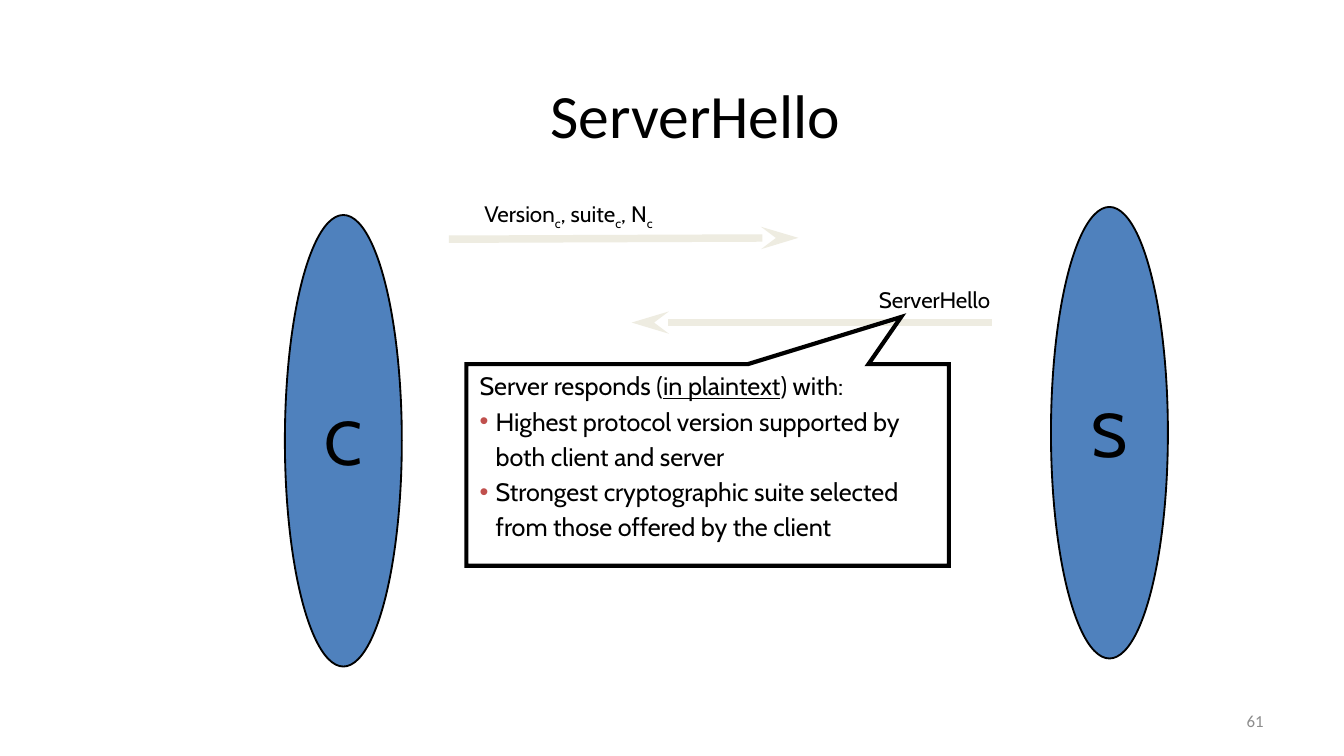
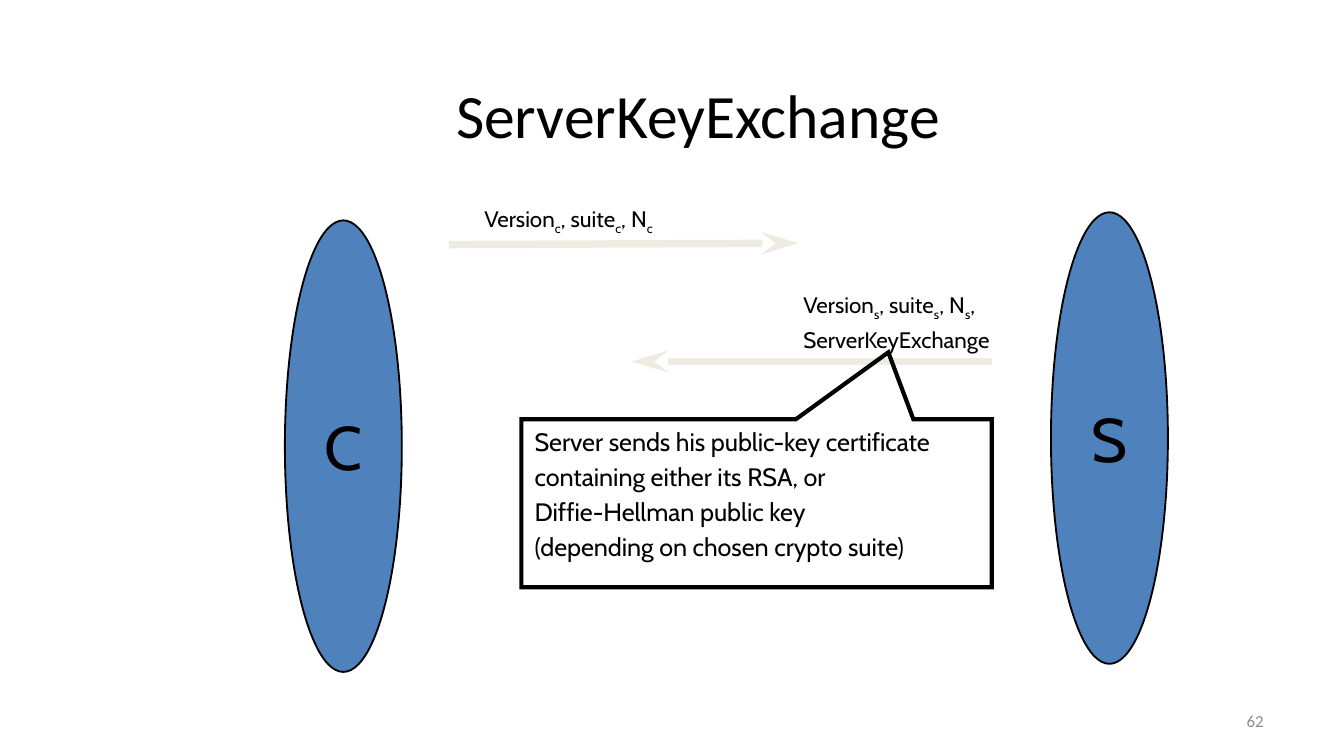
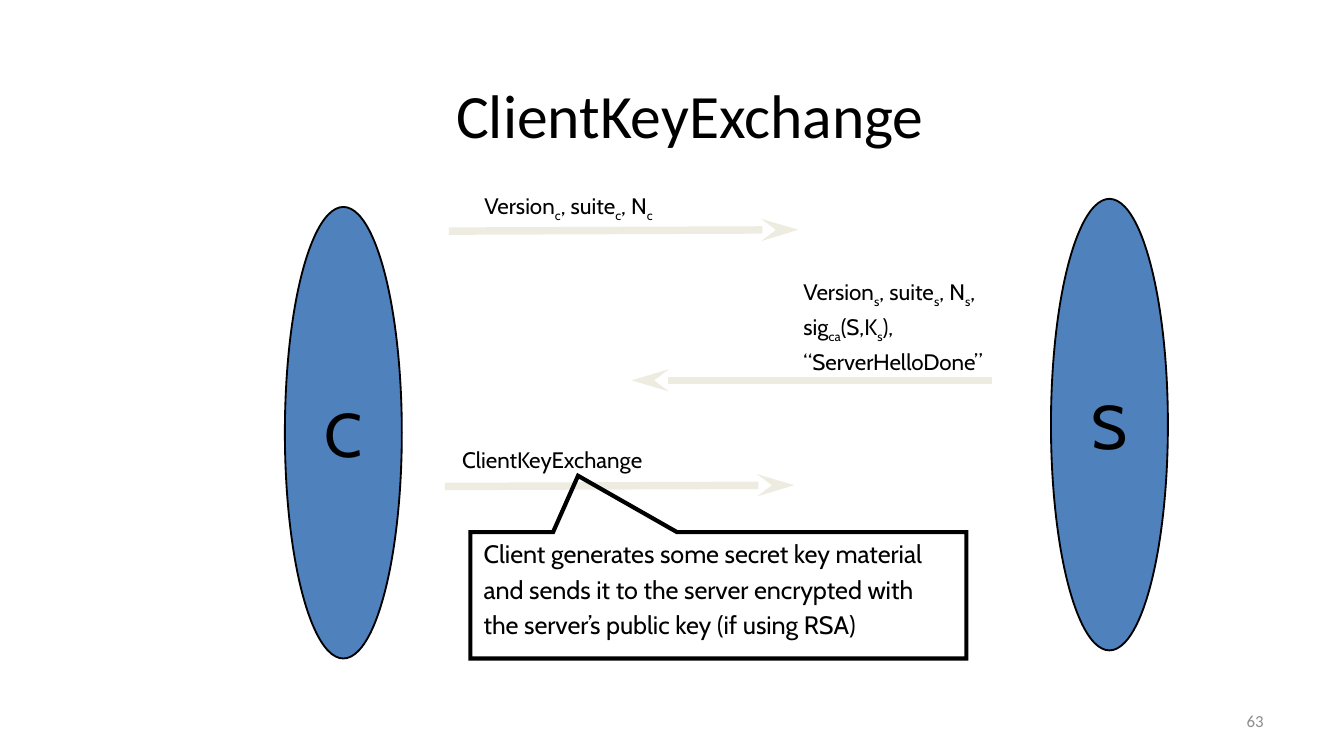
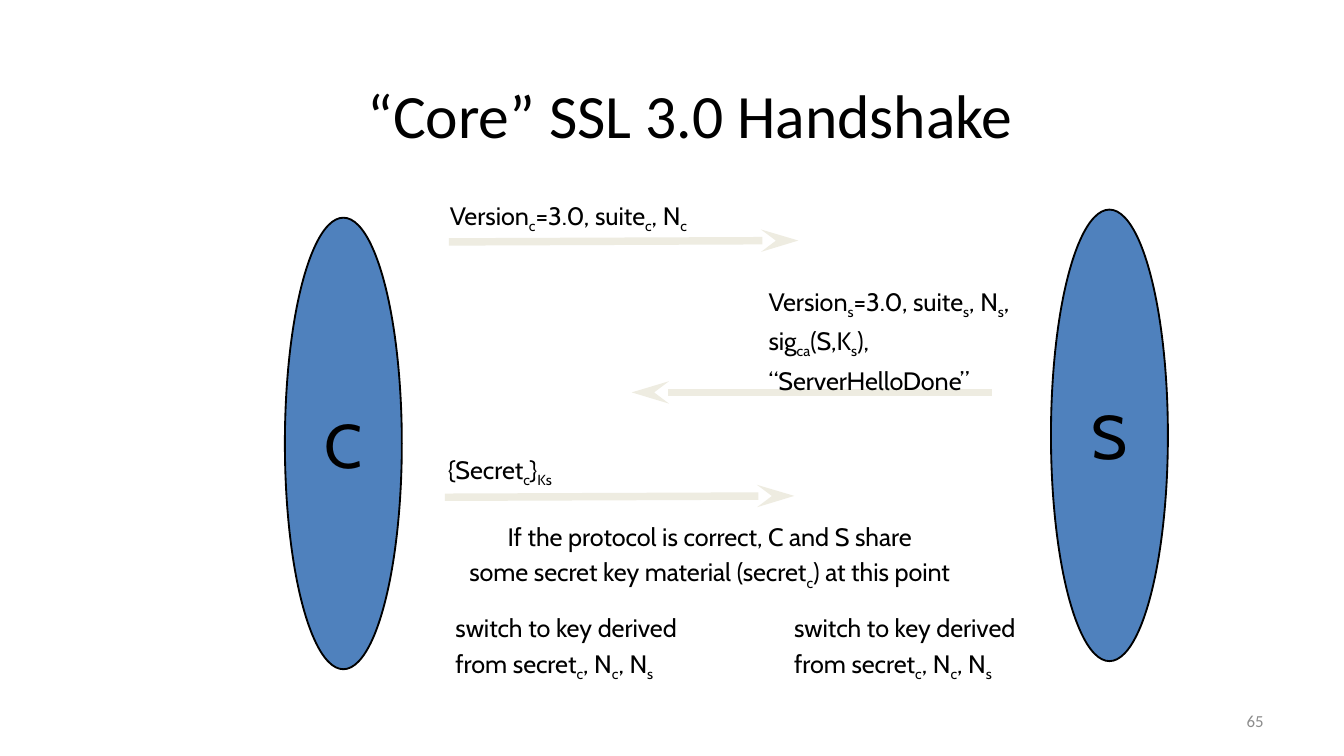
from lxml import etree
from pptx import Presentation
from pptx.dml.color import RGBColor
from pptx.enum.shapes import MSO_CONNECTOR, MSO_SHAPE
from pptx.enum.text import MSO_ANCHOR, MSO_AUTO_SIZE, PP_ALIGN
from pptx.oxml.ns import qn
from pptx.util import Inches, Pt

BLACK = RGBColor(0x00, 0x00, 0x00)
BLUE = RGBColor(0x4F, 0x81, 0xBD)
SAND = RGBColor(0xEE, 0xEC, 0xE1)
RED = RGBColor(0xC0, 0x50, 0x4D)
GRAY = RGBColor(0x8C, 0x8C, 0x8C)
TITLE_FONT, BODY_FONT, BULLET_FONT = "Calibri", "Cabin", "Arial"
LEFT, CENTER, RIGHT = PP_ALIGN.LEFT, PP_ALIGN.CENTER, PP_ALIGN.RIGHT
BIG, MEDIUM, SMALL, TINY = 33, 13.5, 12, 9

# Text markup: _x_ is subscript, ~x~ is underlined,
# a leading "• " makes a bullet and a leading "> " continues one.
CLIENT_HELLO = "Version_c_, suite_c_, N_c_"
SERVER_DONE = ["sig_ca_(S,K_s_),", "“ServerHelloDone”"]
SWITCH = ["switch to key derived", "from secret_c_, N_c_, N_s_"]

# top: upper edge of the client;
# labels: (left, top, width, height), size, alignment, lines;
# callout: (left, top, width, height), pointer, lines.
SLIDES = [
    dict(number="61", title="ServerHello", title_left=2.1, top=1.6,
         reply_y=2.4, secret=False,
         labels=[((3.44, 1.44, 1.58, 0.3), SMALL, CENTER, [CLIENT_HELLO]),
                 ((6.44, 2.08, 1.05, 0.3), SMALL, LEFT, ["ServerHello"])],
         callout=((3.47, 2.71, 3.59, 1.5), (0.401, -0.734), [
             "Server responds (~in plaintext~) with:",
             "• Highest protocol version supported by",
             "> both client and server",
             "• Strongest cryptographic suite selected",
             "> from those offered by the client"])),
    dict(number="62", title="ServerKeyExchange", title_left=2.12, top=1.64,
         reply_y=2.69, secret=False,
         labels=[((3.44, 1.48, 1.58, 0.3), SMALL, CENTER, [CLIENT_HELLO]),
                 ((5.88, 2.12, 1.66, 0.55), SMALL, LEFT,
                  ["Version_s_, suite_s_, N_s_,", "ServerKeyExchange"])],
         callout=((3.88, 3.12, 3.5, 1.25), (0.28, -0.899), [
             "Server sends his public-key certificate",
             "containing either its RSA, or",
             "Diffie-Hellman public key",
             "(depending on chosen crypto suite)"])),
    dict(number="63", title="ClientKeyExchange", title_left=2.06, top=1.54,
         reply_y=2.83, secret=True,
         labels=[((3.44, 1.38, 1.58, 0.3), SMALL, CENTER, [CLIENT_HELLO]),
                 ((5.88, 2.02, 1.62, 0.79), SMALL, LEFT,
                  ["Version_s_, suite_s_, N_s_,"] + SERVER_DONE),
                 ((3.31, 3.27, 1.6, 0.3), SMALL, CENTER, ["ClientKeyExchange"])],
         callout=((3.5, 3.96, 3.69, 0.94), (-0.283, -0.946), [
             "Client generates some secret key material",
             "and sends it to the server encrypted with",
             "the server’s public key (if using RSA)"])),
    dict(number="65", title="“Core” SSL 3.0 Handshake", title_left=2.06, top=1.62,
         reply_y=2.92, secret=True,
         labels=[((3.16, 1.44, 2.14, 0.33), MEDIUM, CENTER,
                  ["Version_c_=3.0, suite_c_, N_c_"]),
                 ((5.62, 2.08, 2.2, 0.87), MEDIUM, LEFT,
                  ["Version_s_=3.0, suite_s_, N_s_,"] + SERVER_DONE),
                 ((3.17, 3.33, 1.1, 0.33), MEDIUM, CENTER, ["{Secret_c_}_Ks_"]),
                 ((3.29, 4.51, 1.98, 0.6), MEDIUM, LEFT, SWITCH),
                 ((3.22, 3.83, 4.12, 0.6), MEDIUM, CENTER,
                  ["If the protocol is correct, C and S share",
                   "some secret key material (secret_c_) at this point"]),
                 ((5.81, 4.51, 1.98, 0.6), MEDIUM, LEFT, SWITCH)],
         callout=None),
]


def inches(values):
    return [Inches(value) for value in values]


def style_font(font, size, name=BODY_FONT, color=BLACK):
    font.size, font.name = Pt(size), name
    font.color.rgb = color


def indent(para, bulleted):
    props = para._p.get_or_add_pPr()
    props.set("marL", str(Inches(0.12)))
    props.set("indent", str(-Inches(0.12) if bulleted else 0))
    if bulleted:
        color = etree.SubElement(props, qn("a:buClr"))
        etree.SubElement(color, qn("a:srgbClr"), val=str(RED))
        etree.SubElement(props, qn("a:buFont"), typeface=BULLET_FONT)
        etree.SubElement(props, qn("a:buChar"), char="•")


def add_spans(para, line, size):
    """Split the marked-up line into plain, subscript and underlined runs."""
    for level, chunk in enumerate(line.split("_")):
        for mark, piece in enumerate(chunk.split("~")):
            if not piece:
                continue
            span = para.add_run()
            span.text = piece
            style_font(span.font, size)
            if level % 2:
                span._r.get_or_add_rPr().set("baseline", "-25000")
            if mark % 2:
                span.font.underline = True


def write_lines(frame, lines, size, align=LEFT):
    for index, line in enumerate(lines):
        para = frame.add_paragraph() if index else frame.paragraphs[0]
        para.alignment = align
        if index:
            para.space_before = Pt(size * 0.2)
        if line.startswith(("• ", "> ")):
            indent(para, line.startswith("•"))
            line = line[2:]
        add_spans(para, line, size)


def add_label(slide, place, size, align, lines):
    frame = slide.shapes.add_textbox(*inches(place)).text_frame
    frame.word_wrap = False
    frame.auto_size = MSO_AUTO_SIZE.SHAPE_TO_FIT_TEXT
    write_lines(frame, lines, size, align)


def add_outlined(slide, kind, place, line_width):
    shape = slide.shapes.add_shape(kind, *inches(place))
    shape.shadow.inherit = False
    shape.line.color.rgb = BLACK
    shape.line.width = Pt(line_width)
    return shape


def add_party(slide, name, left, top):
    party = add_outlined(slide, MSO_SHAPE.OVAL, (left, top, 0.87, 3.36), 1)
    party.fill.solid()
    party.fill.fore_color.rgb = BLUE
    frame = party.text_frame
    frame.word_wrap = False
    frame.vertical_anchor = MSO_ANCHOR.MIDDLE
    write_lines(frame, [name], BIG, CENTER)


def add_callout(slide, place, pointer, lines):
    callout = add_outlined(slide, MSO_SHAPE.RECTANGULAR_CALLOUT, place, 2.25)
    callout.fill.background()
    etree.SubElement(callout.line._get_or_add_ln(), qn("a:miter"), lim="800000")
    callout.adjustments[0], callout.adjustments[1] = pointer
    frame = callout.text_frame
    frame.word_wrap = True
    frame.vertical_anchor = MSO_ANCHOR.TOP
    write_lines(frame, lines, MEDIUM)


def add_arrow(slide, *ends):
    arrow = slide.shapes.add_connector(MSO_CONNECTOR.STRAIGHT, *inches(ends))
    arrow.line.color.rgb = SAND
    arrow.line.width = Pt(4)
    etree.SubElement(arrow.line._get_or_add_ln(), qn("a:tailEnd"),
                     type="stealth", w="med", len="lg")
    etree.SubElement(arrow._element.spPr, qn("a:effectLst"))


def add_title(slide, text, left):
    title = slide.shapes.title
    title.left, title.top, title.width, title.height = inches((left, 0.38, 6.15, 0.94))
    frame = title.text_frame
    frame.text = text
    frame.auto_size = MSO_AUTO_SIZE.NONE
    frame.vertical_anchor = MSO_ANCHOR.MIDDLE
    frame.paragraphs[0].alignment = CENTER
    style_font(frame.paragraphs[0].runs[0].font, BIG, TITLE_FONT)


def add_number(slide, number):
    frame = slide.shapes.add_textbox(*inches((7.17, 5.21, 2.33, 0.3))).text_frame
    frame.text = number
    frame.word_wrap = True
    frame.vertical_anchor = MSO_ANCHOR.MIDDLE
    frame.paragraphs[0].alignment = RIGHT
    style_font(frame.paragraphs[0].runs[0].font, TINY, TITLE_FONT, GRAY)


def add_handshake(deck, step):
    slide = deck.slides.add_slide(deck.slide_layouts[5])
    top, reply_y = step["top"], step["reply_y"]
    add_title(slide, step["title"], step["title_left"])
    add_party(slide, "C", 2.12, top)
    add_party(slide, "S", 7.82, top - 0.06)

    add_arrow(slide, 3.34, top + 0.18, 5.94, top + 0.17)
    add_arrow(slide, 7.38, reply_y, 4.7, reply_y)
    if step["secret"]:
        add_arrow(slide, 3.31, top + 2.08, 5.91, top + 2.07)

    for label in step["labels"]:
        add_label(slide, *label)
    if step["callout"]:
        add_callout(slide, *step["callout"])
    add_number(slide, step["number"])


def main():
    deck = Presentation()
    deck.slide_width = Inches(10)
    deck.slide_height = deck.slide_width * 9 // 16
    for step in SLIDES:
        add_handshake(deck, step)
    deck.save("out.pptx")


if __name__ == "__main__":
    main()
